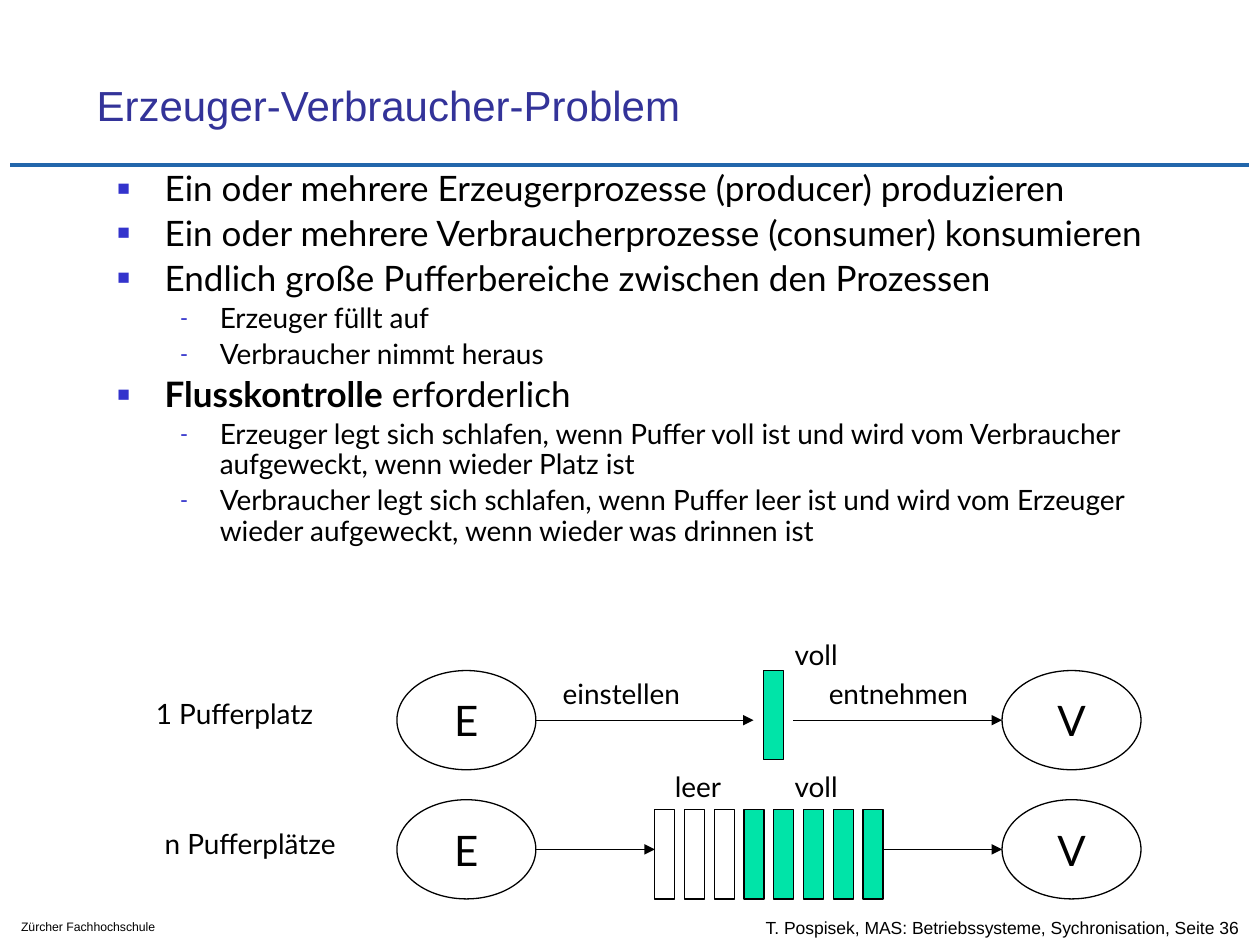
"""Builds the slide on the producer-consumer problem with its two buffer diagrams."""
from lxml import etree
from pptx import Presentation
from pptx.dml.color import RGBColor
from pptx.enum.shapes import MSO_CONNECTOR, MSO_SHAPE
from pptx.enum.text import MSO_ANCHOR, PP_ALIGN
from pptx.oxml.ns import qn
from pptx.util import Pt

OVAL, RECT = MSO_SHAPE.OVAL, MSO_SHAPE.RECTANGLE
STRAIGHT = MSO_CONNECTOR.STRAIGHT
TOP, MIDDLE, BOTTOM = MSO_ANCHOR.TOP, MSO_ANCHOR.MIDDLE, MSO_ANCHOR.BOTTOM
LEFT, CENTER = PP_ALIGN.LEFT, PP_ALIGN.CENTER

BLACK = RGBColor(0x00, 0x00, 0x00)
TITLE_BLUE = RGBColor(0x33, 0x33, 0x99)
RULE_BLUE = RGBColor(0x22, 0x66, 0xAB)
BULLET_BLUE = RGBColor(0x33, 0x33, 0xCC)
FULL_GREEN = RGBColor(0x00, 0xE4, 0xA8)


def write(frame, text, size=16, font="Lato", color=BLACK, align=LEFT, anchor=TOP, wrap=False):
    frame.word_wrap = wrap
    frame.vertical_anchor = anchor
    paragraph = frame.paragraphs[0]
    paragraph.alignment = align
    run = paragraph.add_run()
    run.text = text
    run.font.size = Pt(size)
    run.font.name = font
    run.font.color.rgb = color


def draw_line(x1, x2, y, color=BLACK, width=0.75, arrow=True):
    line = slide.shapes.add_connector(STRAIGHT, Pt(x1), Pt(y), Pt(x2), Pt(y))
    line.line.color.rgb = color
    line.line.width = Pt(width)
    if arrow:
        etree.SubElement(line.line._get_or_add_ln(), qn("a:tailEnd"), type="triangle")
    etree.SubElement(line._element.spPr, qn("a:effectLst"))


prs = Presentation()
prs.slide_width, prs.slide_height = Pt(720), Pt(540)
slide = prs.slides.add_slide(prs.slide_layouts[5])

title = slide.shapes.title
title.left, title.top, title.width, title.height = Pt(48), Pt(24), Pt(613.5), Pt(54)
write(title.text_frame, "Erzeuger-Verbraucher-Problem", size=24, font="Arial",
      color=TITLE_BLUE, anchor=BOTTOM, wrap=True)
draw_line(6, 714, 94.3, color=RULE_BLUE, width=2.5, arrow=False)

BULLET_STYLES = [
    {"mark": "■", "scale": 60, "margin": 27, "indent": -27, "size": 20, "before": 4},
    {"mark": "-", "scale": 80, "margin": 58.5, "indent": -22.5, "size": 16, "before": 3.2},
]
POINTS = [
    (0, "", "Ein oder mehrere Erzeugerprozesse (producer) produzieren"),
    (0, "", "Ein oder mehrere Verbraucherprozesse (consumer) konsumieren"),
    (0, "", "Endlich große Pufferbereiche zwischen den Prozessen"),
    (1, "", "Erzeuger füllt auf"),
    (1, "", "Verbraucher nimmt heraus"),
    (0, "Flusskontrolle", " erforderlich"),
    (1, "", "Erzeuger legt sich schlafen, wenn Puffer voll ist und wird vom Verbraucher "
            "aufgeweckt, wenn wieder Platz ist"),
    (1, "", "Verbraucher legt sich schlafen, wenn Puffer leer ist und wird vom Erzeuger "
            "wieder aufgeweckt, wenn wieder was drinnen ist"),
]
body = slide.shapes.add_textbox(Pt(60), Pt(94.3), Pt(612), Pt(241)).text_frame
body.word_wrap = True
for index, (level, strong, plain) in enumerate(POINTS):
    style = BULLET_STYLES[level]
    point = body.add_paragraph() if index else body.paragraphs[0]
    point.level = level
    point.line_spacing = 0.9
    point.space_before = Pt(style["before"] if index else 0)
    props = point._p.get_or_add_pPr()
    props.set("marL", str(Pt(style["margin"])))
    props.set("indent", str(Pt(style["indent"])))
    bullet_color = etree.SubElement(props, qn("a:buClr"))
    etree.SubElement(bullet_color, qn("a:srgbClr"), val=str(BULLET_BLUE))
    etree.SubElement(props, qn("a:buSzPct"), val=str(style["scale"] * 1000))
    etree.SubElement(props, qn("a:buFont"), typeface="Arial")
    etree.SubElement(props, qn("a:buChar"), char=style["mark"])
    point.font.size = Pt(style["size"])
    for text, bold in ((strong, True), (plain, False)):
        if text:
            run = point.add_run()
            run.text = text
            run.font.size = Pt(style["size"])
            run.font.name = "Lato"
            run.font.bold = bold
            run.font.color.rgb = BLACK

PROCESS_W, PROCESS_H = 79.4, 56.7
PRODUCER_X, CONSUMER_X = 226.8, 572.6
SLOT_W, SLOT_H, SLOT_STEP = 11.4, 51, 17
SINGLE_Y, MULTI_Y = 383.2, 457
SINGLE_SLOT_X, MULTI_SLOT_X = 436.3, 374.2
EMPTY_SLOTS, ALL_SLOTS = 3, 8
ARROW_GAP = 5.7

for row_y in (SINGLE_Y, MULTI_Y):
    for name, x in (("E", PRODUCER_X), ("V", CONSUMER_X)):
        process = slide.shapes.add_shape(OVAL, Pt(x), Pt(row_y), Pt(PROCESS_W), Pt(PROCESS_H))
        process.shadow.inherit = False
        process.fill.background()
        process.line.color.rgb = BLACK
        process.line.width = Pt(0.75)
        write(process.text_frame, name, size=24, align=CENTER, anchor=MIDDLE)

slots = [(SINGLE_SLOT_X, SINGLE_Y, True)]
slots += [(MULTI_SLOT_X + i * SLOT_STEP, MULTI_Y + PROCESS_H - SLOT_H, i >= EMPTY_SLOTS)
          for i in range(ALL_SLOTS)]
for x, y, full in slots:
    slot = slide.shapes.add_shape(RECT, Pt(x), Pt(y), Pt(SLOT_W), Pt(SLOT_H))
    slot.shadow.inherit = False
    slot.line.color.rgb = BLACK
    slot.line.width = Pt(0.75)
    if full:
        slot.fill.solid()
        slot.fill.fore_color.rgb = FULL_GREEN
    else:
        slot.fill.background()

multi_end = MULTI_SLOT_X + (ALL_SLOTS - 1) * SLOT_STEP + SLOT_W
for row_y, buffer_start, buffer_end in (
    (SINGLE_Y, SINGLE_SLOT_X - ARROW_GAP, SINGLE_SLOT_X + SLOT_W + ARROW_GAP),
    (MULTI_Y, MULTI_SLOT_X, multi_end),
):
    middle = row_y + PROCESS_H / 2
    draw_line(PRODUCER_X + PROCESS_W, buffer_start, middle)
    draw_line(buffer_end, CONSUMER_X, middle)

LABELS = [
    ("voll", 447, 361, 40),
    ("einstellen", 314.5, 383.2, 86),
    ("entnehmen", 466.5, 383.2, 101.5),
    ("1 Pufferplatz", 82, 394.5, 109.5),
    ("leer", 378.5, 436.3, 43.5),
    ("voll", 447, 436.3, 40),
    ("n Pufferplätze", 87, 468.5, 119.5),
]
for text, x, y, width in LABELS:
    label = slide.shapes.add_textbox(Pt(x), Pt(y), Pt(width), Pt(26.6))
    write(label.text_frame, text)

FOOTERS = [
    ("Zürcher Fachhochschule", 5, 522, 124, 16, 7, TOP),
    ("T. Pospisek, MAS: Betriebssysteme, Sychronisation, Seite 36", 430.5, 518.5, 285, 23.5, 10,
     MIDDLE),
]
for text, x, y, width, height, size, anchor in FOOTERS:
    footer = slide.shapes.add_textbox(Pt(x), Pt(y), Pt(width), Pt(height))
    write(footer.text_frame, text, size=size, font="Arial", anchor=anchor)

prs.save("out.pptx")
